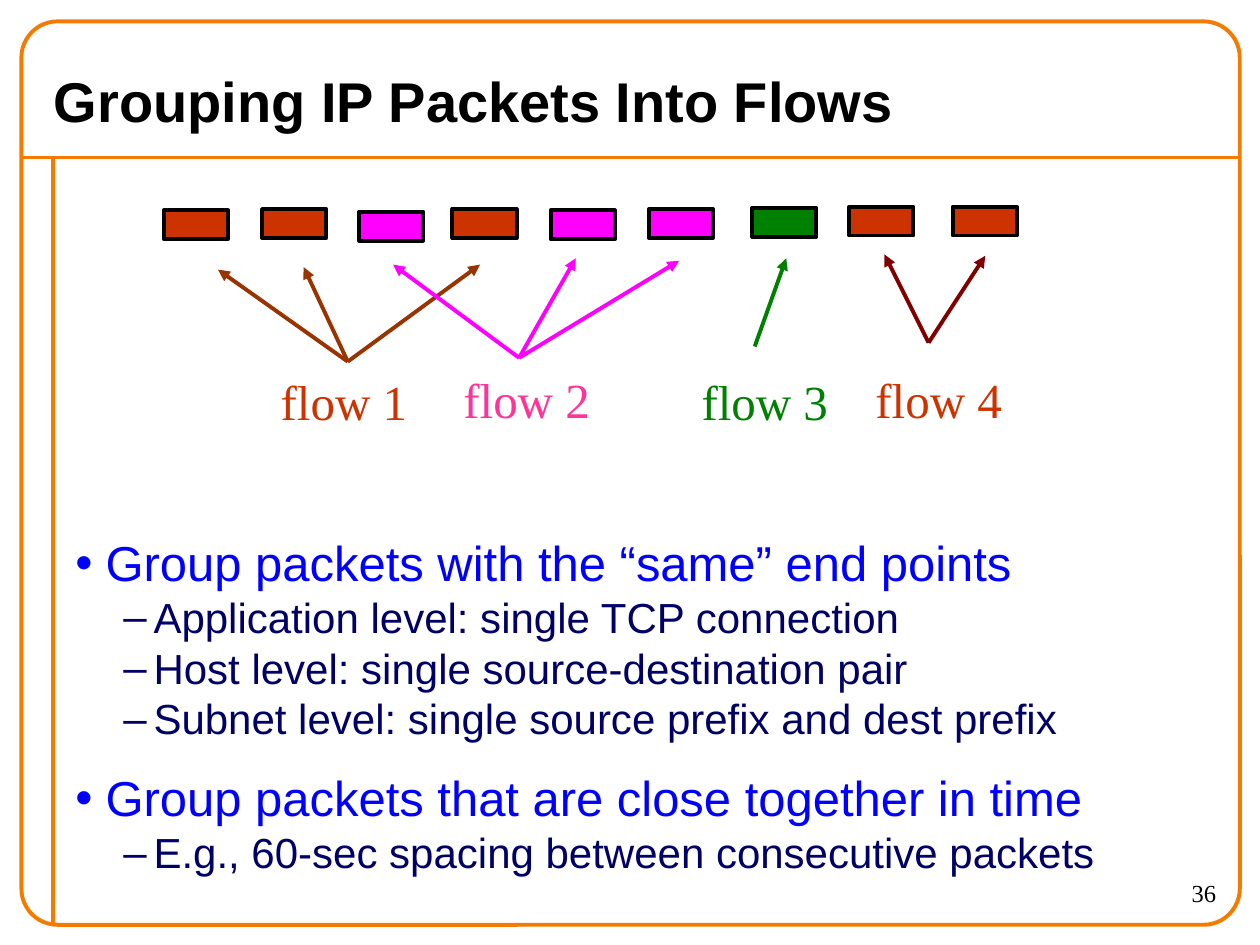
"""Build the slide on grouping IP packets into flows."""
import lxml.etree
import pptx
import pptx.dml.color
import pptx.enum.shapes
import pptx.enum.text
import pptx.oxml.ns
import pptx.util

RGB = pptx.dml.color.RGBColor
ORANGE = RGB(0xF4, 0x7A, 0x00)
BLACK = RGB(0x00, 0x00, 0x00)
BLUE = RGB(0x00, 0x00, 0xFF)
NAVY = RGB(0x00, 0x00, 0x66)
RED = RGB(0xCC, 0x33, 0x00)
MAGENTA = RGB(0xFF, 0x00, 0xFF)
PINK = RGB(0xFF, 0x33, 0x99)
GREEN = RGB(0x00, 0x80, 0x00)
BROWN = RGB(0x99, 0x33, 0x00)
MAROON = RGB(0x80, 0x00, 0x00)

SHAPE = pptx.enum.shapes.MSO_SHAPE
ALIGN = pptx.enum.text.PP_ALIGN
ANCHOR = pptx.enum.text.MSO_ANCHOR
Pt = pptx.util.Pt
qn = pptx.oxml.ns.qn

prs = pptx.Presentation()
prs.slide_width = pptx.util.Inches(10)
prs.slide_height = pptx.util.Inches(7.5)
COL = prs.slide_width // 100
ROW = prs.slide_height // 75
s = prs.slides.add_slide(prs.slide_layouts[6])


def add_line(x1, y1, x2, y2, color, arrow=False):
    """Draw a line between two grid points."""
    c = s.shapes.add_connector(
        pptx.enum.shapes.MSO_CONNECTOR.STRAIGHT,
        round(x1 * COL), round(y1 * ROW), round(x2 * COL), round(y2 * ROW))
    c.line.color.rgb = color
    c.line.width = Pt(2.25)
    if arrow:
        lxml.etree.SubElement(c.line._get_or_add_ln(), qn("a:tailEnd"), type="triangle")
    lxml.etree.SubElement(c._element.spPr, qn("a:effectLst"))


def add_text(x, y, w, h, lines, size, font, color, align=ALIGN.LEFT, bold=False):
    """Place a text box on the grid and return its text frame."""
    tf = s.shapes.add_textbox(
        round(x * COL), round(y * ROW), round(w * COL), round(h * ROW)).text_frame
    tf.word_wrap = True
    tf.text = "\n".join(lines)
    for p in tf.paragraphs:
        p.alignment = align
        for r in p.runs:
            r.font.size = Pt(size)
            r.font.name = font
            r.font.bold = bold
            r.font.color.rgb = color
    return tf


add_line(1.7, 12.5, 98.3, 12.5, ORANGE)
add_line(4.2, 12.5, 4.2, 73.3, ORANGE)
frame = s.shapes.add_shape(
    SHAPE.ROUNDED_RECTANGLE,
    round(1.7 * COL), round(1.7 * ROW), round(96.7 * COL), round(71.7 * ROW))
frame.adjustments[0] = 0.04
frame.shadow.inherit = False
frame.fill.background()
frame.line.color.rgb = ORANGE
frame.line.width = Pt(2.25)

title = add_text(3.3, 4.2, 88.2, 7.5, ["Grouping IP Packets Into Flows"],
                 32, "Arial", BLACK, bold=True)
title.vertical_anchor = ANCHOR.MIDDLE

outline = [
    (0, "Group packets with the “same” end points"),
    (1, "Application level: single TCP connection"),
    (1, "Host level: single source-destination pair"),
    (1, "Subnet level: single source prefix and dest prefix"),
    (0, "Group packets that are close together in time"),
    (1, "E.g., 60-sec spacing between consecutive packets"),
]
levels = [(28, BLUE, "•", 2.4, 17.5), (24, NAVY, "–", 6.2, 3)]
body = add_text(5, 42.3, 92.5, 31, [text for _, text in outline], 28, "Arial", BLUE)
for p, (level, _) in zip(body.paragraphs, outline):
    size, color, bullet, margin, before = levels[level]
    p.level = level
    p.line_spacing = 0.9
    p.space_before = Pt(before)
    p.runs[0].font.size = Pt(size)
    p.runs[0].font.color.rgb = color
    pPr = p._p.get_or_add_pPr()
    pPr.set("marL", str(round(margin * COL)))
    pPr.set("indent", str(round(-2.4 * COL)))
    buClr = lxml.etree.SubElement(pPr, qn("a:buClr"))
    lxml.etree.SubElement(buClr, qn("a:srgbClr"), val=str(color))
    lxml.etree.SubElement(pPr, qn("a:buFont"), typeface="Arial")
    lxml.etree.SubElement(pPr, qn("a:buChar"), char=bullet)

packets = [
    (13, 16.7, RED), (20.8, 16.6, RED), (28.5, 16.8, MAGENTA),
    (35.9, 16.6, RED), (43.7, 16.7, MAGENTA), (51.5, 16.6, MAGENTA),
    (59.7, 16.5, GREEN), (67.4, 16.4, RED), (75.6, 16.4, RED),
]
for x, y, color in packets:
    sp = s.shapes.add_shape(SHAPE.RECTANGLE, round(x * COL), round(y * ROW),
                            round(5.1 * COL), round(2.3 * ROW))
    sp.shadow.inherit = False
    sp.fill.solid()
    sp.fill.fore_color.rgb = color
    sp.line.color.rgb = BLACK
    sp.line.width = Pt(2.25)

flows = [
    ("flow 1", RED, 21.3, 29, BROWN, (27.6, 28.7), [(17.3, 21.4), (24.1, 21.2), (38.1, 21)]),
    ("flow 4", RED, 68.5, 28.8, MAROON, (73.7, 27.2), [(70.2, 20.2), (78.2, 20.3)]),
    ("flow 3", GREEN, 54.7, 29, GREEN, (59.9, 27.5), [(62.4, 20.5)]),
    ("flow 2", PINK, 35.8, 28.8, MAGENTA, (41.2, 28.4), [(31.2, 21), (45.7, 20.5), (53.9, 20.7)]),
]
for label, color, x, y, arrow_color, start, tips in flows:
    for tip in tips:
        add_line(*start, *tip, arrow_color, arrow=True)
    tf = add_text(x, y, 12, 5.7, [label], 28, "Times New Roman", color, ALIGN.CENTER)
    tf.word_wrap = False

add_text(87.5, 69.2, 10, 4.2, ["36"], 14, "Times New Roman", BLACK, ALIGN.RIGHT)

prs.save("out.pptx")
